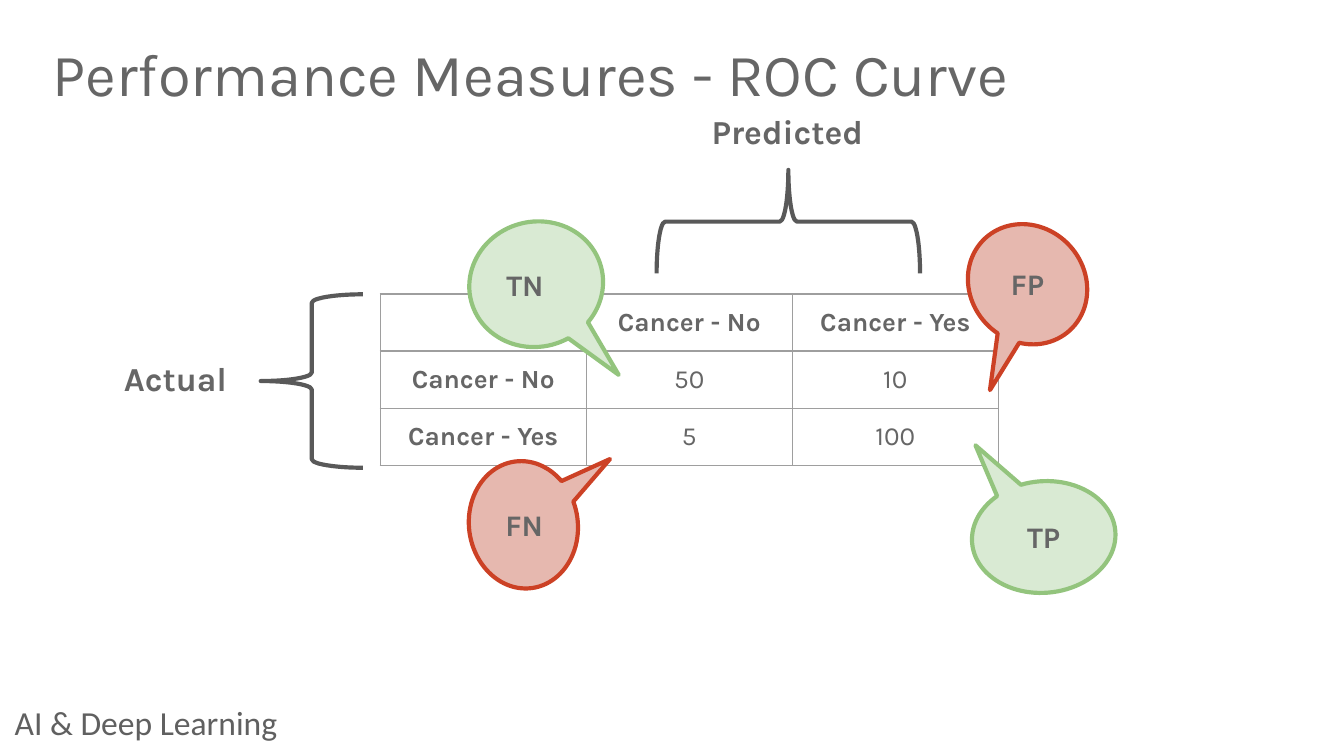
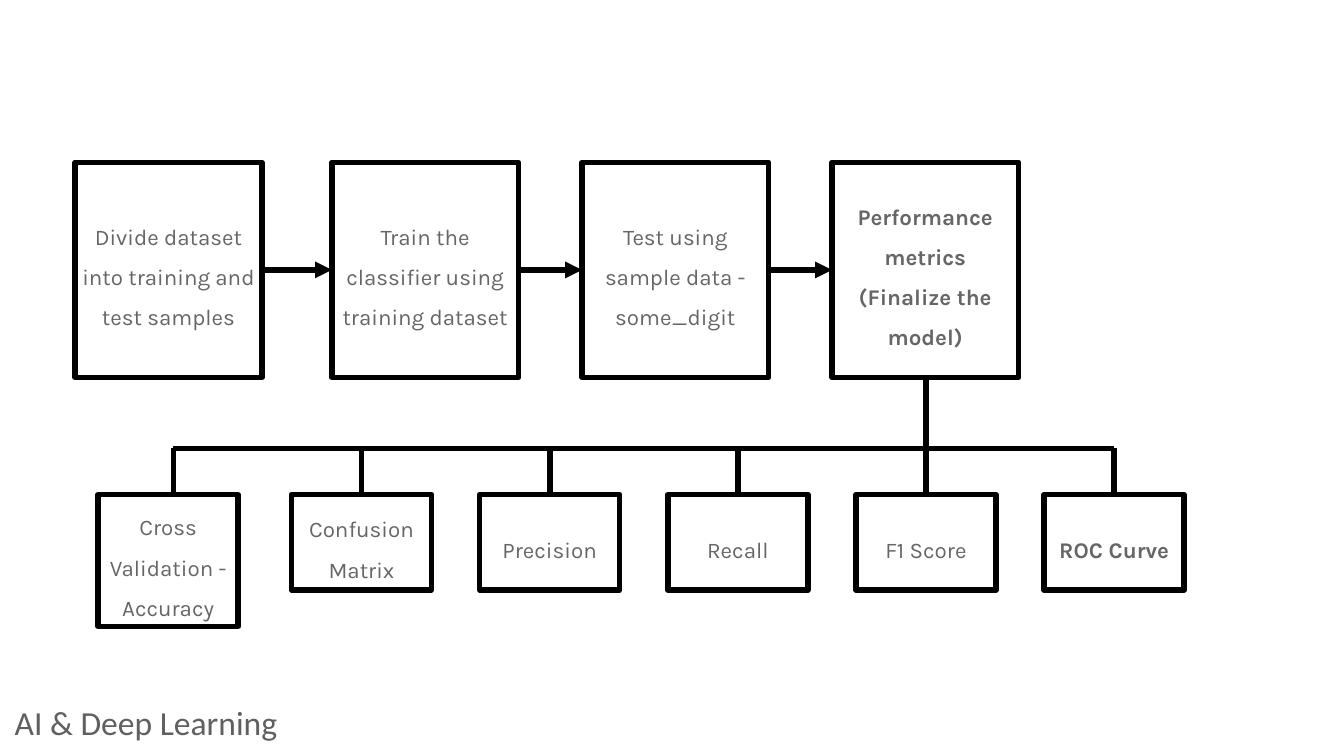
from dataclasses import dataclass

from lxml.etree import SubElement
from pptx import Presentation
from pptx.dml.color import RGBColor
from pptx.enum.shapes import MSO_CONNECTOR, MSO_SHAPE
from pptx.enum.text import MSO_ANCHOR, PP_ALIGN
from pptx.oxml import parse_xml
from pptx.oxml.ns import nsdecls, qn
from pptx.util import Pt

# Shared look
FONT = "Karla"
TEXT = "666666"
FOOTER = "606060"
WHITE = "FFFFFF"
BLACK = "000000"
BRACE = "595959"
GRID = "9E9E9E"
GREEN = ("D9EAD3", "93C47D")
RED = ("E6B8AF", "CC4125")
LEFT, CENTER = PP_ALIGN.LEFT, PP_ALIGN.CENTER
RIGHT_SITE, LEFT_SITE = 3, 1


@dataclass(frozen=True)
class Box:
    left: float
    top: float
    width: float
    height: float

    def lengths(self) -> tuple:
        return Pt(self.left), Pt(self.top), Pt(self.width), Pt(self.height)


@dataclass(frozen=True)
class Style:
    size: float
    bold: bool = False
    align: PP_ALIGN = CENTER
    spacing: float = 1.0
    inset: float = 7.2
    font: str = FONT
    color: str = TEXT


@dataclass(frozen=True)
class Callout:
    text: str
    bubble: Box
    rotation: float
    colors: tuple
    label: Box
    align: PP_ALIGN = CENTER


@dataclass(frozen=True)
class Step:
    text: str
    left: float
    height: float
    bold: bool = False


def rgb(value: str) -> RGBColor:
    return RGBColor.from_string(value)


def style_paragraph(paragraph, style: Style) -> None:
    paragraph.alignment = style.align
    paragraph.line_spacing = style.spacing
    for run in paragraph.runs:
        run.font.name = style.font
        run.font.size = Pt(style.size)
        run.font.bold = style.bold
        run.font.color.rgb = rgb(style.color)


def write_text(shape, text: str, style: Style) -> None:
    frame = shape.text_frame
    frame.word_wrap = True
    frame.vertical_anchor = MSO_ANCHOR.MIDDLE
    frame.margin_left = frame.margin_right = Pt(style.inset)
    frame.margin_top = frame.margin_bottom = Pt(style.inset)
    frame.text = text
    style_paragraph(frame.paragraphs[0], style)


def add_text(slide, box: Box, text: str, style: Style) -> None:
    write_text(slide.shapes.add_textbox(*box.lengths()), text, style)


def add_outline(slide, kind: MSO_SHAPE, box: Box, line: str, width: float,
                fill: str = "", rotation: float = 0):
    shape = slide.shapes.add_shape(kind, *box.lengths())
    shape.shadow.inherit = False
    shape.rotation = rotation
    shape.line.color.rgb = rgb(line)
    shape.line.width = Pt(width)
    if fill:
        shape.fill.solid()
        shape.fill.fore_color.rgb = rgb(fill)
    else:
        shape.fill.background()
    return shape


def add_line(slide, x1: float, y1: float, x2: float, y2: float):
    connector = slide.shapes.add_connector(
        MSO_CONNECTOR.STRAIGHT, Pt(x1), Pt(y1), Pt(x2), Pt(y2))
    connector.line.color.rgb = rgb(BLACK)
    connector.line.width = Pt(3)
    SubElement(connector._element.spPr, qn("a:effectLst"))
    return connector


def add_arrow(slide, source, target) -> None:
    connector = add_line(slide, 0, 0, 0, 0)
    connector.begin_connect(source, RIGHT_SITE)
    connector.end_connect(target, LEFT_SITE)
    SubElement(connector.line._get_or_add_ln(), qn("a:tailEnd"), type="triangle")


def add_slide(presentation):
    slide = presentation.slides.add_slide(presentation.slide_layouts[6])
    slide.background.fill.solid()
    slide.background.fill.fore_color.rgb = rgb(WHITE)
    add_text(slide, Box(5, 378.7, 205, 16.6), "AI & Deep Learning",
             Style(18, align=LEFT, inset=2.88, font="Calibri", color=FOOTER))
    return slide


def add_borders(cell) -> None:
    properties = cell._tc.get_or_add_tcPr()
    for index, side in enumerate(("lnL", "lnR", "lnT", "lnB")):
        properties.insert(index, parse_xml(
            f'<a:{side} {nsdecls("a")} w="{Pt(0.75)}"><a:solidFill>'
            f'<a:srgbClr val="{GRID}"/></a:solidFill></a:{side}>'))


# Slide 1: confusion matrix
MATRIX = (
    ("", "Cancer - No", "Cancer - Yes"),
    ("Cancer - No", "50", "10"),
    ("Cancer - Yes", "5", "100"),
)
CALLOUTS = (
    Callout("TN", Box(251.3, 118.8, 72, 67), 345.1, GREEN,
            Box(264.2, 141.8, 45.4, 20.9), LEFT),
    Callout("FP", Box(517, 121.7, 67, 61.2), 47.4, RED,
            Box(529.2, 143.3, 42.5, 17.3)),
    Callout("FN", Box(246.2, 252, 68.4, 58.3), 262.3, RED,
            Box(261.4, 269.3, 38.9, 23.8)),
    Callout("TP", Box(520.6, 257.8, 77, 59.8), 175.2, GREEN,
            Box(536.4, 277.2, 45.4, 20.9)),
)


def add_matrix(slide, box: Box) -> None:
    size = len(MATRIX)
    table = slide.shapes.add_table(size, size, *box.lengths()).table
    table.first_row = table.horz_banding = False
    for index in range(size):
        table.columns[index].width = Pt(box.width / size)
        table.rows[index].height = Pt(box.height / size)
    for row, texts in enumerate(MATRIX):
        for column, text in enumerate(texts):
            cell = table.cell(row, column)
            cell.fill.background()
            add_borders(cell)
            cell.vertical_anchor = MSO_ANCHOR.MIDDLE
            cell.margin_left = cell.margin_right = Pt(7.2)
            cell.margin_top = cell.margin_bottom = Pt(3.6)
            if text:
                cell.text_frame.text = text
                header = row == 0 or column == 0
                style_paragraph(cell.text_frame.paragraphs[0], Style(14, header))


def build_matrix_slide(presentation) -> None:
    slide = add_slide(presentation)
    add_matrix(slide, Box(203.7, 157.5, 331.2, 91.8))

    # Axis names with braces
    axes = (
        ("Actual", Box(57.6, 187.2, 72.7, 31), Box(139.7, 157.7, 54.7, 92.9), 0),
        ("Predicted", Box(370, 54.7, 103.7, 31), Box(394.6, 48.2, 55.4, 141.1), 90),
    )
    for name, label, brace, rotation in axes:
        add_text(slide, label, name, Style(18, True))
        add_outline(slide, MSO_SHAPE.LEFT_BRACE, brace, BRACE, 2.25,
                    rotation=rotation)

    # Callouts point at the four outcomes
    for callout in CALLOUTS:
        fill, line = callout.colors
        bubble = add_outline(slide, MSO_SHAPE.OVAL_CALLOUT, callout.bubble, line,
                             2.25, fill, callout.rotation)
        bubble.adjustments[0] = 0.42
        bubble.adjustments[1] = 0.87
        add_text(slide, callout.label, callout.text,
                 Style(16, True, callout.align))

    add_text(slide, Box(28.1, 17.3, 663.8, 48.2), "Performance Measures - ROC Curve",
             Style(32, align=LEFT, spacing=0.9, inset=0))


# Slide 2: workflow and metrics
STAGE_TOP, STAGE_WIDTH, STAGE_HEIGHT = 87, 100, 115.2
METRIC_TOP, METRIC_WIDTH, METRIC_HEIGHT = 265, 75, 51.1
STEM_LEFT, STEM_PITCH, BUS_Y = 92.9, 100.8, 240.2
TRUNK_INDEX = 4
STAGES = (
    Step("Divide dataset into training and test samples", 40.3, STAGE_HEIGHT),
    Step("Train the classifier using training dataset", 177.8, STAGE_HEIGHT),
    Step("Test using sample data - some_digit", 311.8, STAGE_HEIGHT),
    Step("Performance metrics (Finalize the model)", 445.7, STAGE_HEIGHT, True),
)
METRIC_NAMES = ("Cross Validation - Accuracy", "Confusion Matrix", "Precision",
                "Recall", "F1 Score", "ROC Curve")


def add_step(slide, step: Step, top: float, width: float):
    shape = add_outline(slide, MSO_SHAPE.RECTANGLE,
                        Box(step.left, top, width, step.height), BLACK, 3,
                        WHITE if step.bold else "")
    write_text(shape, step.text, Style(12, step.bold, spacing=1.5, inset=2.88))
    return shape


def build_workflow_slide(presentation) -> None:
    slide = add_slide(presentation)

    # Stages joined by arrows
    stages = [add_step(slide, stage, STAGE_TOP, STAGE_WIDTH) for stage in STAGES]
    for source, target in zip(stages, stages[1:]):
        add_arrow(slide, source, target)

    # Metrics hang from one bus line; the first box is taller and further left
    stems = [STEM_LEFT + STEM_PITCH * i for i in range(len(METRIC_NAMES))]
    for index, (name, stem) in enumerate(zip(METRIC_NAMES, stems)):
        left = stem - METRIC_WIDTH / 2
        metric = Step(name, left, METRIC_HEIGHT, name == "ROC Curve")
        if index == 0:
            metric = Step(name, left - 2.8, 70.6)
        add_step(slide, metric, METRIC_TOP, METRIC_WIDTH)
        stem_top = STAGE_TOP + STAGE_HEIGHT if index == TRUNK_INDEX else BUS_Y
        add_line(slide, stem, stem_top, stem, METRIC_TOP)
    add_line(slide, stems[0], BUS_Y, stems[-1], BUS_Y)


def main() -> None:
    presentation = Presentation()
    presentation.slide_width, presentation.slide_height = Pt(720), Pt(405)
    build_matrix_slide(presentation)
    build_workflow_slide(presentation)
    presentation.save("out.pptx")


if __name__ == "__main__":
    main()
